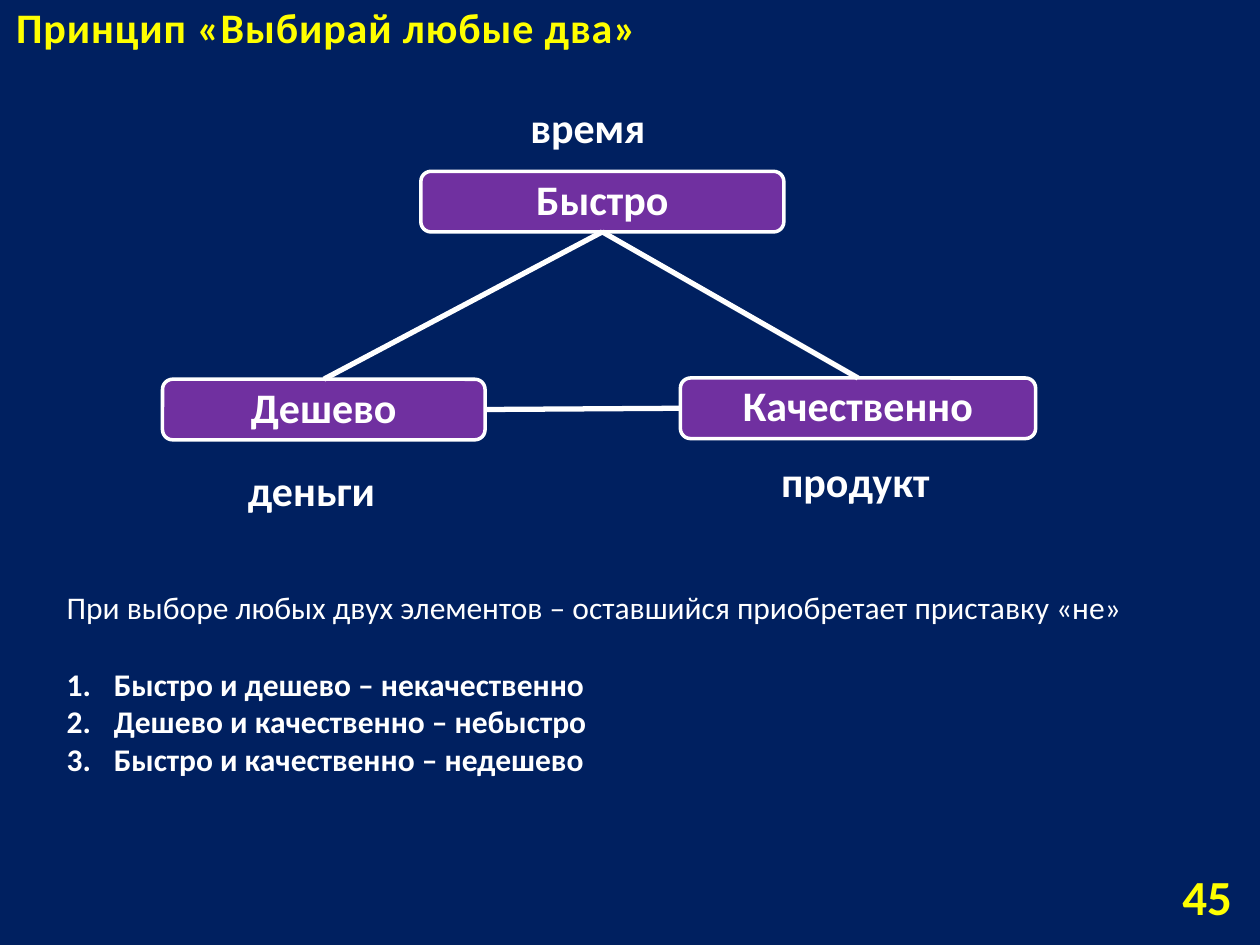
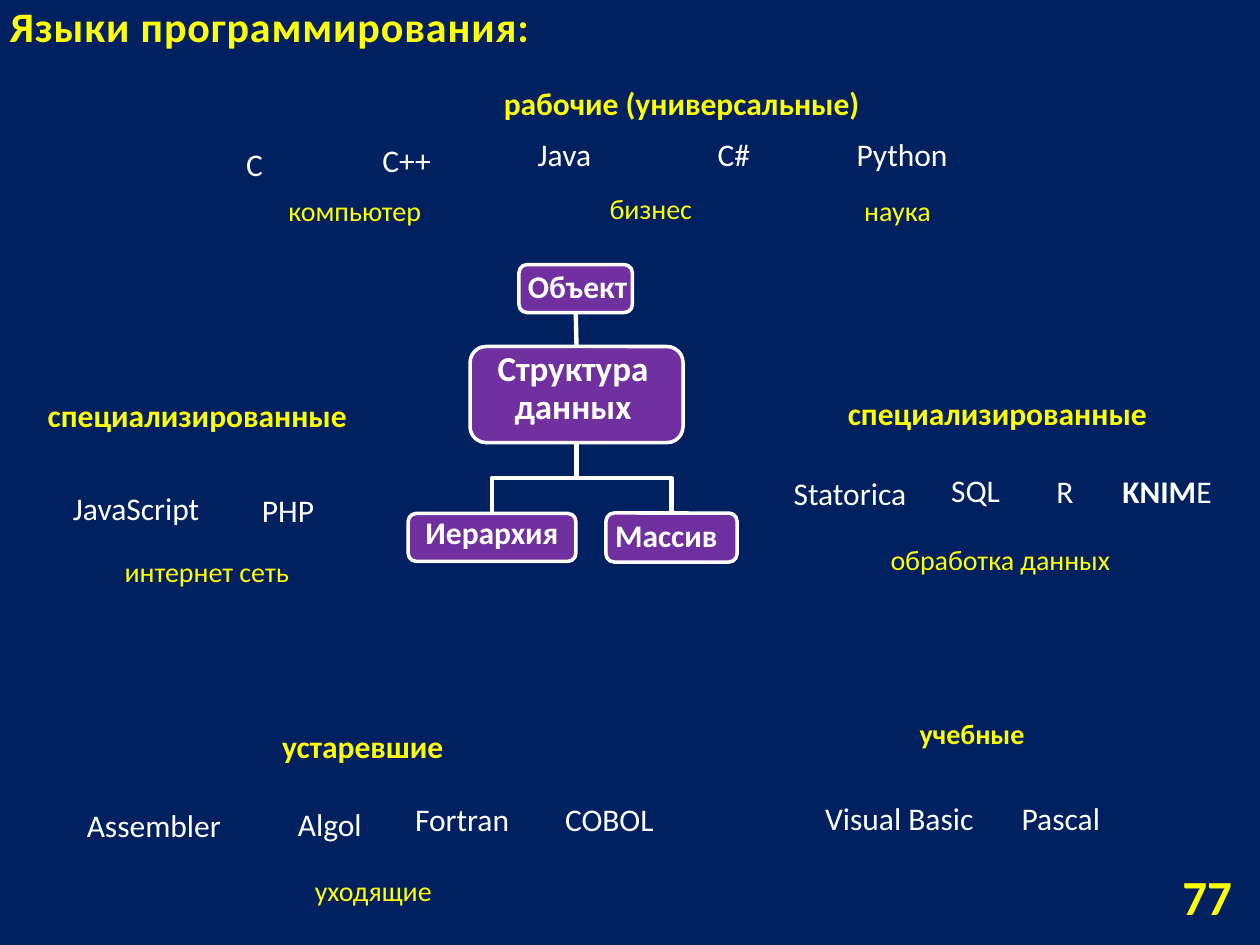
from pptx import Presentation
from pptx.dml.color import RGBColor
from pptx.enum.shapes import MSO_CONNECTOR as CONN, MSO_SHAPE as SHAPE
from pptx.enum.text import MSO_ANCHOR as ANCHOR, MSO_AUTO_SIZE as AUTO, PP_ALIGN as ALIGN
from pptx.oxml.ns import qn
from pptx.util import Pt
from lxml import etree

NAVY = RGBColor(0x00, 0x20, 0x60)
YELLOW = RGBColor(0xFF, 0xFF, 0x00)
WHITE = RGBColor(0xFF, 0xFF, 0xFF)
PURPLE = RGBColor(0x70, 0x30, 0xA0)

TITLE = {"size": 24, "color": YELLOW, "bold": True}
NUMBER = {"size": 28, "color": YELLOW, "bold": True}
NODE = {"size": 24, "color": WHITE, "bold": True}
SUBNODE = {"size": 18, "color": WHITE, "bold": True}
CORE = {"size": 20, "color": WHITE, "bold": True}
BODY = {"size": 18, "color": WHITE, "bold": False}
GROUP = {"size": 18, "color": YELLOW, "bold": True}
SMALL_GROUP = {"size": 16, "color": YELLOW, "bold": True}
AREA = {"size": 16, "color": YELLOW, "bold": False}


def add_run(p, text, fmt):
    r = p.add_run()
    r.text = text
    r.font.name = "Calibri"
    r.font.color.rgb = fmt["color"]
    for name, value in {"size": Pt(fmt["size"]), "bold": fmt["bold"]}.items():
        setattr(r.font, name, value)
    return r


def add_text(s, text, box, fmt, wrap=True):
    tf = s.shapes.add_textbox(*[Pt(v) for v in box]).text_frame
    tf.word_wrap = wrap
    add_run(tf.paragraphs[0], text, fmt)
    return tf


prs = Presentation()
prs.slide_width, prs.slide_height = Pt(720), Pt(540)
fill = prs.slide_master.background.fill
fill.solid()
fill.fore_color.rgb = NAVY

slides = []
for title, number, box in [
    ("Принцип «Выбирай любые два»", "45", (2, 0, 397, 33)),
    ("Языки программирования:", "77", (-1.5, -0.5, 318, 33)),
]:
    s = prs.slides.add_slide(prs.slide_layouts[5])
    slides.append(s)
    sp = s.shapes.title
    sp.left, sp.top, sp.width, sp.height = [Pt(v) for v in box]
    tf = sp.text_frame
    for name, value in {"word_wrap": True, "auto_size": AUTO.NONE, "vertical_anchor": ANCHOR.BOTTOM}.items():
        setattr(tf, name, value)
    p = tf.paragraphs[0]
    p.alignment = ALIGN.LEFT
    r = add_run(p, title, TITLE)
    r.font._element.set("spc", "50")
    tf = add_text(s, number, (626, 497.5, 85, 29), NUMBER)
    tf.vertical_anchor = ANCHOR.MIDDLE
    tf.paragraphs[0].alignment = ALIGN.RIGHT

triangle, languages = slides

nodes = {}
for s, text, box, insets, fmt in [
    (triangle, "Дешево", (92.9, 216.7, 184.3, 34.6), (4, 4, 4, 4), NODE),
    (triangle, "Быстро", (240.5, 97.9, 207.4, 34.6), (4, 4, 4, 4), NODE),
    (triangle, "Качественно", (388.8, 216, 203, 34.6), (4, 4, 4, 4), NODE),
    (languages, "Структура данных", (268.6, 198, 121.7, 54.9), (2, 0, 6, 6), CORE),
    (languages, "Иерархия", (233.3, 293.4, 95.8, 27.4), (2, 0, 2, 3.5), SUBNODE),
    (languages, "Объект", (296.6, 151.2, 64.8, 27.4), (2, 0, 0, 0), SUBNODE),
    (languages, "Массив", (346.3, 293.2, 74.9, 28), (0, 0, 6, 0), SUBNODE),
]:
    sp = s.shapes.add_shape(SHAPE.ROUNDED_RECTANGLE, *[Pt(v) for v in box])
    sp.shadow.inherit = False
    sp.fill.solid()
    sp.fill.fore_color.rgb = PURPLE
    sp.line.color.rgb = WHITE
    sp.line.width = Pt(2)
    tf = sp.text_frame
    tf.word_wrap = True
    tf.vertical_anchor = ANCHOR.MIDDLE
    for side, inset in zip(("left", "top", "right", "bottom"), insets):
        setattr(tf, f"margin_{side}", Pt(inset))
    p = tf.paragraphs[0]
    p.alignment = ALIGN.CENTER
    p.line_spacing = 0.9
    add_run(p, text, fmt)
    nodes[text] = sp

for s, kind, start, start_side, end, end_side, width in [
    (triangle, CONN.STRAIGHT, "Дешево", 0, "Быстро", 2, 3),
    (triangle, CONN.STRAIGHT, "Дешево", 3, "Качественно", 1, 3),
    (triangle, CONN.STRAIGHT, "Качественно", 0, "Быстро", 2, 3),
    (languages, CONN.STRAIGHT, "Объект", 2, "Структура данных", 0, 2.5),
    (languages, CONN.ELBOW, "Структура данных", 2, "Массив", 0, 2.5),
    (languages, CONN.ELBOW, "Структура данных", 2, "Иерархия", 0, 2.5),
]:
    c = s.shapes.add_connector(kind, 0, 0, 0, 0)
    c.begin_connect(nodes[start], start_side)
    c.end_connect(nodes[end], end_side)
    c.line.color.rgb = WHITE
    c.line.width = Pt(width)
    etree.SubElement(c._element.spPr, qn("a:effectLst"))
    if kind == CONN.ELBOW:
        dx, dy = c.end_x - c.begin_x, c.end_y - c.begin_y
        mid_x, mid_y = (c.begin_x + c.end_x) // 2, (c.begin_y + c.end_y) // 2
        c.left, c.top = mid_x - dy // 2, mid_y - abs(dx) // 2
        c.width, c.height = dy, abs(dx)
        xfrm = c._element.spPr.find(qn("a:xfrm"))
        xfrm.set("rot", "16200000" if dx > 0 else "5400000")
        xfrm.set("flipH", "1" if dx > 0 else "0")

for text, left, top, width in [
    ("время", 296, 54.7, 100),
    ("деньги", 134.6, 262, 100),
    ("продукт", 439.2, 257, 106.6),
]:
    add_text(triangle, text, (left, top, width, 36), NODE)

tf = add_text(
    triangle,
    "При выборе любых двух элементов – оставшийся приобретает приставку «не»",
    (31, 332.6, 646.6, 116.6),
    BODY,
)
for i, text in enumerate([
    "Быстро и дешево – некачественно",
    "Дешево и качественно – небыстро",
    "Быстро и качественно – недешево",
]):
    p = tf.add_paragraph()
    p.space_before = Pt(0 if i else 22)
    pPr = p._p.get_or_add_pPr()
    pPr.set("marL", str(Pt(27)))
    pPr.set("indent", str(Pt(-27)))
    etree.SubElement(pPr, qn("a:buFont"), typeface="+mj-lt")
    etree.SubElement(pPr, qn("a:buAutoNum"), type="arabicPeriod")
    add_run(p, text, SUBNODE)

for text, left, top, width in [
    ("C", 133.5, 79.2, 24),
    ("C++", 211.4, 77, 43),
    ("Java", 300.2, 73.4, 45.4),
    ("C#", 403, 73.4, 33.4),
    ("Python", 482.4, 73.4, 67),
    ("JavaScript", 34.6, 275.8, 87),
    ("PHP", 142.6, 277.2, 44.6),
    ("Statorica", 446.4, 267.1, 80.6),
    ("SQL", 536.4, 265.7, 42.5),
    ("R", 596.6, 266.4, 24.7),
    ("Assembler", 42.5, 457.2, 92.2),
    ("Algol", 163.1, 456.5, 51.4),
    ("Fortran", 230.1, 453.6, 68.7),
    ("COBOL", 315.8, 453.6, 65.8),
    ("Visual Basic", 464.4, 452.9, 102.5),
    ("Pascal", 576.7, 452.9, 61.2),
]:
    add_text(languages, text, (left, top, width, 29), BODY, wrap=False)

tf = add_text(languages, "KNIM", (634.3, 266.4, 66.2, 29), SUBNODE, wrap=False)
add_run(tf.paragraphs[0], "E", BODY)

for text, left, top, width, fmt in [
    ("рабочие (универсальные)", 280.8, 44.6, 242, GROUP),
    ("специализированные", 20.2, 222.5, 203.8, GROUP),
    ("специализированные", 477.4, 221.8, 203.8, GROUP),
    ("устаревшие", 154.1, 411.8, 114.5, GROUP),
    ("учебные", 518.4, 406.1, 76.3, SMALL_GROUP),
    ("компьютер", 157.7, 107.3, 103, AREA),
    ("бизнес", 341.3, 105.8, 65.5, AREA),
    ("наука", 486.7, 107.3, 59.8, AREA),
    ("интернет сеть", 64.1, 313.2, 123.1, AREA),
    ("обработка данных", 501.8, 306.7, 174.2, AREA),
    ("уходящие", 172.8, 495.4, 103, AREA),
]:
    add_text(languages, text, (left, top, width, 27), fmt)

prs.save("out.pptx")
